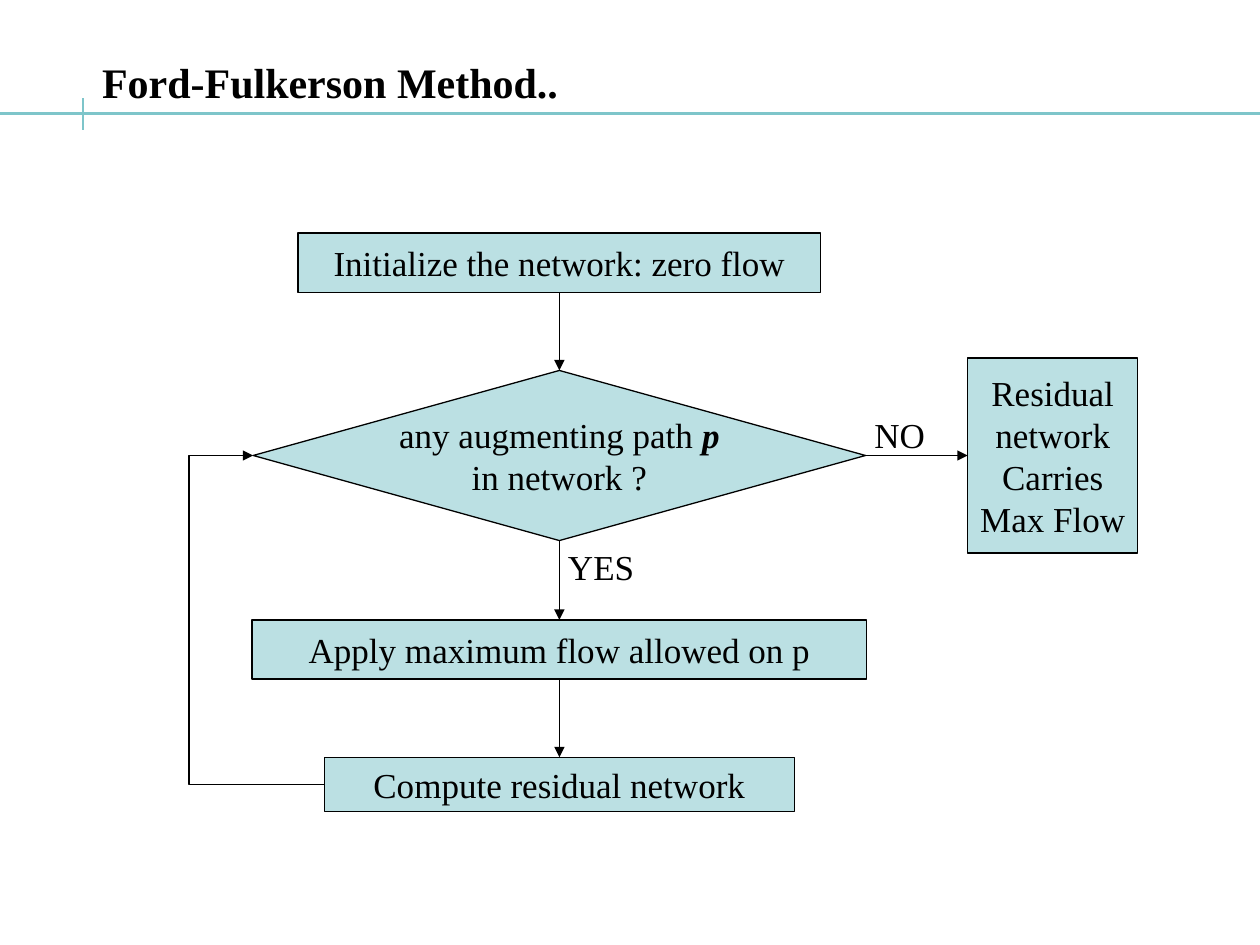
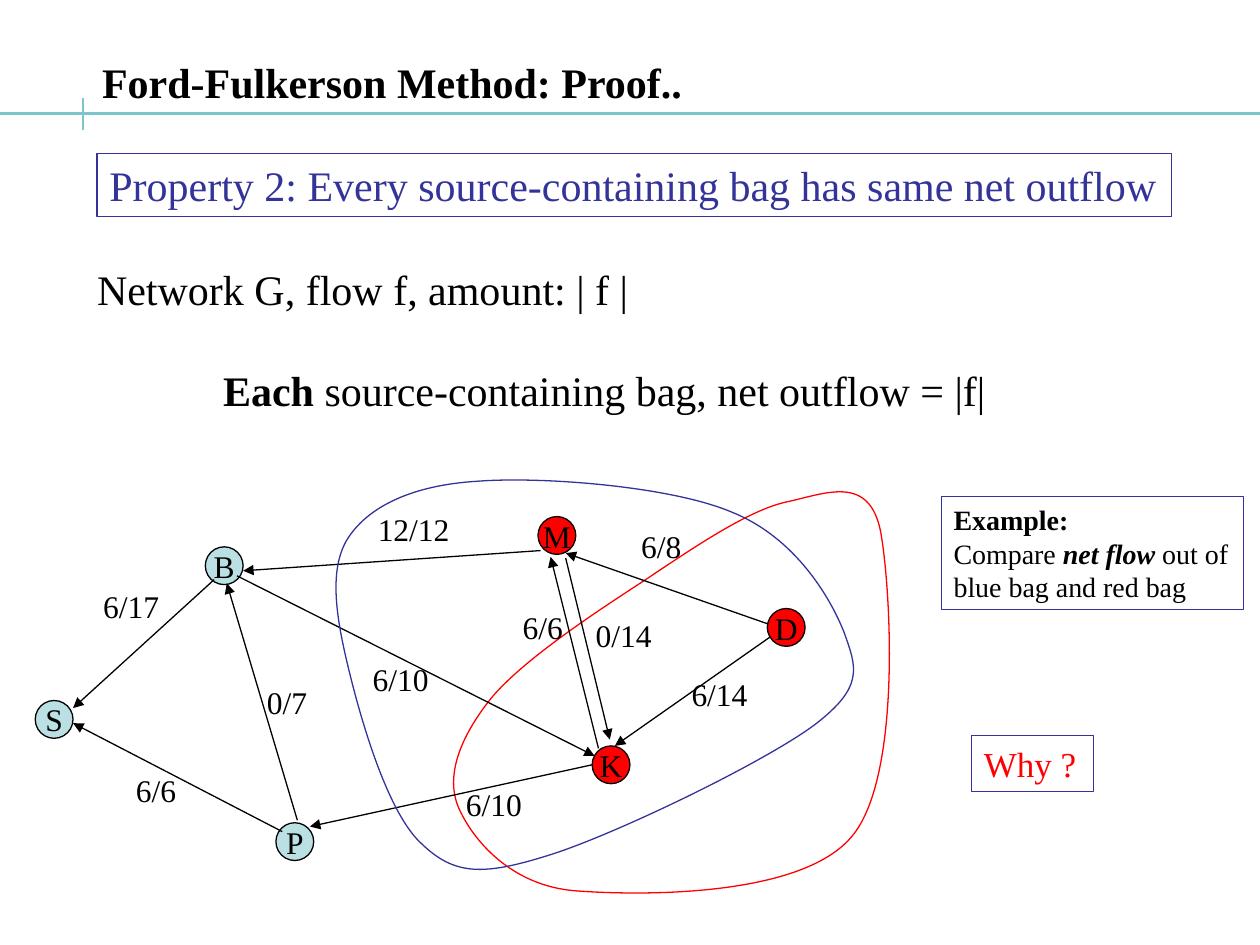
from typing import Any, NamedTuple, Optional

from pptx import Presentation
from pptx.dml.color import RGBColor
from pptx.enum.shapes import MSO_CONNECTOR, MSO_SHAPE
from pptx.enum.text import MSO_ANCHOR, MSO_AUTO_SIZE, PP_ALIGN
from pptx.oxml import parse_xml
from pptx.oxml.ns import nsdecls, qn
from pptx.oxml.xmlchemy import OxmlElement
from pptx.util import Inches, Pt

# Grid: 10 columns by 7.5 rows
WIDTH, HEIGHT = Inches(10), Inches(7.5)
COLUMN, ROW = WIDTH / 10, HEIGHT / 7.5

# Shared look
FONT = "Times New Roman"
BLACK, RED, NAVY = "000000", "FF0000", "333399"
PALE, TEAL = "BBE0E3", "7EC5CA"
THIN, RULE = 0.75, 1.5
TOP, LEFT, BOTTOM, RIGHT = range(4)
TITLE = {"size": 24, "bold": True}
CENTRED = {"align": PP_ALIGN.CENTER, "anchor": MSO_ANCHOR.MIDDLE, "grow": False}
TITLE_ONLY, TITLE_AND_BODY = 5, 1


class Span(NamedTuple):
    text: str
    bold: bool = False
    italic: bool = False


class Area(NamedTuple):
    left: float
    top: float
    width: float
    height: float

    def lengths(self) -> tuple[int, ...]:
        return (*point(self.left, self.top), *point(self.width, self.height))


class Step(NamedTuple):
    name: str
    preset: Any
    area: Area
    lines: list


class Link(NamedTuple):
    source: str
    source_side: int
    target: str
    target_side: int


class Node(NamedTuple):
    name: str
    left: float
    top: float
    fill: str


class Edge(NamedTuple):
    start: tuple[float, float]
    end: tuple[float, float]
    label: str
    label_at: tuple[float, float]


class Note(NamedTuple):
    area: Area
    lines: list
    size: int
    colour: str


def point(column: float, row: float) -> tuple[int, int]:
    return round(column * COLUMN), round(row * ROW)


def colour(value: str) -> RGBColor:
    return RGBColor.from_string(value)


def set_all(target: Any, values: dict) -> None:
    for name, value in values.items():
        setattr(target, name, value)


# Text
def write(box: Any, lines: list, size: int, ink: str = BLACK, bold: bool = False,
          align: Any = PP_ALIGN.LEFT, anchor: Any = MSO_ANCHOR.TOP,
          grow: bool = True, wrap: bool = False) -> None:
    """Fill a box; each line is a plain string or a list of spans."""
    frame = box.text_frame
    set_all(frame, {
        "margin_left": Inches(0.1), "margin_right": Inches(0.1),
        "margin_top": Inches(0.05), "margin_bottom": Inches(0.05),
        "word_wrap": wrap, "vertical_anchor": anchor,
        "auto_size": MSO_AUTO_SIZE.SHAPE_TO_FIT_TEXT if grow else MSO_AUTO_SIZE.NONE,
    })
    for index, line in enumerate(lines):
        para = frame.add_paragraph() if index else frame.paragraphs[0]
        set_all(para, {"alignment": align, "space_before": Pt(0)})
        for span in [Span(line, bold)] if isinstance(line, str) else line:
            run = para.add_run()
            run.text = span.text
            set_all(run.font, {"name": FONT, "size": Pt(size),
                               "bold": span.bold, "italic": span.italic})
            run.font.color.rgb = colour(ink)


def move(box: Any, area: Area) -> None:
    set_all(box, dict(zip(("left", "top", "width", "height"), area.lengths())))


def add_label(page: Any, area: Area, text: str, size: int) -> None:
    write(page.shapes.add_textbox(*area.lengths()), [text], size)


# Shapes and lines
def paint(shape: Any, fill: Optional[str], line: str) -> None:
    shape.shadow.inherit = False
    if fill:
        shape.fill.solid()
        shape.fill.fore_color.rgb = colour(fill)
    else:
        shape.fill.background()
    shape.line.color.rgb = colour(line)
    shape.line.width = Pt(THIN)


def add_shape(page: Any, preset: Any, area: Area, fill: Optional[str],
              line: str = BLACK) -> Any:
    shape = page.shapes.add_shape(preset, *area.lengths())
    paint(shape, fill, line)
    return shape


def add_line(page: Any, start: tuple[float, float], end: tuple[float, float],
             ink: str = BLACK, weight: float = THIN, arrow: bool = True,
             kind: Any = MSO_CONNECTOR.STRAIGHT) -> Any:
    line = page.shapes.add_connector(kind, *point(*start), *point(*end))
    line.line.color.rgb = colour(ink)
    line.line.width = Pt(weight)
    properties = line.element.spPr
    if arrow:
        head = parse_xml(f'<a:tailEnd {nsdecls("a")} type="triangle"/>')
        properties.find(qn("a:ln")).append(head)
    properties.append(OxmlElement("a:effectLst"))
    return line


def add_bag(page: Any, points: list[tuple[float, float]], ink: str) -> None:
    """Draw a closed curve: a start, then two controls and an end per arc."""
    start, *rest = [point(*place) for place in points]
    builder = page.shapes.build_freeform(*start)
    builder.add_line_segments([*rest, start], close=True)
    bag = builder.convert_to_shape()
    outline = next(bag.element.iter(qn("a:path")))
    segments = outline.findall(qn("a:lnTo"))
    for first in range(0, len(segments), 3):
        arc = OxmlElement("a:cubicBezTo")
        segments[first].addprevious(arc)
        for segment in segments[first:first + 3]:
            arc.append(segment[0])
            outline.remove(segment)
    paint(bag, None, ink)


def add_page(deck: Any, layout: int, title: str, title_width: float) -> Any:
    page = deck.slides.add_slide(deck.slide_layouts[layout])
    for start, end in (((0, 0.9), (10, 0.9)), ((0.66, 0.78), (0.66, 1.03))):
        add_line(page, start, end, TEAL, RULE, arrow=False)
    move(page.shapes.title, Area(0.71, 0.4, title_width, 0.5))
    write(page.shapes.title, [title], **TITLE)
    return page


# Slide 1: flow chart around one vertical axis
AXIS = 4.44
LOOP_COLUMN = 1.5


def on_axis(top: float, width: float, height: float) -> Area:
    return Area(AXIS - width / 2, top, width, height)


STEPS = [
    Step("initialize", MSO_SHAPE.RECTANGLE, on_axis(1.85, 4.15, 0.47),
         ["Initialize the network: zero flow"]),
    Step("decide", MSO_SHAPE.FLOWCHART_DECISION, on_axis(2.94, 4.86, 1.35),
         [[Span("any augmenting path "), Span("p", True, True)], "in network ?"]),
    Step("apply", MSO_SHAPE.RECTANGLE, on_axis(4.92, 4.88, 0.47),
         ["Apply maximum flow allowed on p"]),
    Step("compute", MSO_SHAPE.RECTANGLE, on_axis(6.01, 3.73, 0.43),
         ["Compute residual network"]),
    Step("finish", MSO_SHAPE.RECTANGLE, Area(7.68, 2.84, 1.35, 1.55),
         ["Residual", "network", "Carries", "Max Flow"]),
]
LINKS = [
    Link("decide", RIGHT, "finish", LEFT),
    Link("initialize", BOTTOM, "decide", TOP),
    Link("decide", BOTTOM, "apply", TOP),
    Link("apply", BOTTOM, "compute", TOP),
]


def build_flow_chart(deck: Any) -> None:
    page = add_page(deck, TITLE_ONLY, "Ford-Fulkerson Method..", 3.95)
    boxes, areas = {}, {}
    for step in STEPS:
        box = add_shape(page, step.preset, step.area, PALE)
        write(box, step.lines, 20, **CENTRED)
        boxes[step.name], areas[step.name] = box, step.area
    add_label(page, Area(4.41, 4.28, 0.8, 0.44), "YES", 20)
    add_label(page, Area(6.84, 3.23, 0.68, 0.44), "NO", 20)

    # Loop back to the decision
    start, end = [(areas[name].left, areas[name].top + areas[name].height / 2)
                  for name in ("compute", "decide")]
    loop = add_line(page, start, end, kind=MSO_CONNECTOR.ELBOW)
    bend = round(100000 * (start[0] - LOOP_COLUMN) / (start[0] - end[0]))
    guide = parse_xml(f'<a:gd {nsdecls("a")} name="adj1" fmla="val {bend}"/>')
    next(loop.element.iter(qn("a:avLst"))).append(guide)

    for link in LINKS:
        arrow = add_line(page, (0, 0), (0, 0))
        arrow.begin_connect(boxes[link.source], link.source_side)
        arrow.end_connect(boxes[link.target], link.target_side)


# Slide 2: flow network with two bags
NODE_SIZE = 0.3
NODES = [
    Node("D", 6.09, 4.83, RED), Node("M", 4.27, 4.1, RED), Node("K", 4.7, 5.92, RED),
    Node("S", 0.28, 5.56, PALE), Node("B", 1.63, 4.34, PALE), Node("P", 2.19, 6.53, PALE),
]
EDGES = [
    Edge((6.09, 4.95), (4.49, 4.39), "6/8", (4.99, 4.13)),
    Edge((6.12, 5.05), (4.88, 5.92), "6/14", (5.39, 5.31)),
    Edge((4.75, 5.94), (4.37, 4.42), "6/6", (4.05, 4.78)),
    Edge((4.49, 4.43), (4.84, 5.87), "0/14", (4.63, 4.84)),
    Edge((4.29, 4.37), (1.93, 4.53), "12/12", (2.9, 4)),
    Edge((1.88, 4.57), (4.72, 6), "6/10", (2.86, 5.19)),
    Edge((4.7, 6.07), (2.46, 6.56), "6/10", (3.6, 6.18)),
    Edge((2.24, 6.6), (0.58, 5.74), "6/6", (0.98, 6.07)),
    Edge((1.7, 4.6), (0.58, 5.62), "6/17", (0.72, 4.61)),
    Edge((2.36, 6.51), (1.8, 4.63), "0/7", (2.02, 5.37)),
]
RED_BAG = [
    (6.26, 3.98), (5.95, 4.04), (5.5, 4.35), (5.11, 4.61), (4.71, 4.87), (4.15, 5.24),
    (3.9, 5.54), (3.66, 5.84), (3.53, 6.15), (3.64, 6.41), (3.75, 6.66), (4.05, 7.03),
    (4.57, 7.07), (5.09, 7.11), (6.36, 7.12), (6.76, 6.64), (7.16, 6.17), (7.07, 4.66),
    (6.99, 4.22), (6.9, 3.77), (6.57, 3.91),
]
BLUE_BAG = [
    (6.7, 5.02), (6.59, 4.74), (6.31, 4.27), (5.82, 4.07), (5.34, 3.86), (4.3, 3.78),
    (3.79, 3.82), (3.29, 3.85), (2.94, 4.01), (2.77, 4.26), (2.6, 4.51), (2.67, 4.91),
    (2.77, 5.32), (2.87, 5.73), (3.08, 6.46), (3.35, 6.7), (3.61, 6.95), (3.84, 6.95),
    (4.35, 6.79), (4.87, 6.63), (6.07, 6.05), (6.47, 5.75), (6.86, 5.45), (6.8, 5.3),
]
NOTES = [
    Note(Area(0.77, 1.22, 8.53, 0.5),
         ["Property 2: Every source-containing bag has same net outflow"], 24, NAVY),
    Note(Area(7.47, 3.94, 2.4, 0.9),
         [[Span("Example:", True)],
          [Span("Compare "), Span("net flow", True, True), Span(" out of")],
          "blue bag and red bag"], 16, BLACK),
    Note(Area(7.71, 5.84, 0.97, 0.44), ["Why ?"], 20, RED),
]


def build_proof(deck: Any) -> None:
    page = add_page(deck, TITLE_AND_BODY, "Ford-Fulkerson Method: Proof..", 4.95)

    # Statement
    body = page.placeholders[1]
    move(body, Area(0.67, 2.04, 7.5, 1.3))
    paras = ["Network G, flow f, amount: | f |",
             [Span("Each ", True), Span("source-containing bag, net outflow = |f|")]]
    write(body, paras, 24, wrap=True, grow=False)
    for level, para in enumerate(body.text_frame.paragraphs):
        para.space_before = Pt(29 * level)
        properties = para._p.get_or_add_pPr()
        properties.set("marL", str(Inches(level)))
        properties.set("indent", "0")
        properties.append(OxmlElement("a:buNone"))

    # Network
    add_bag(page, RED_BAG, RED)
    for node in NODES:
        area = Area(node.left, node.top, NODE_SIZE, NODE_SIZE)
        write(add_shape(page, MSO_SHAPE.OVAL, area, node.fill), [node.name], 18, **CENTRED)
    for edge in EDGES:
        add_line(page, edge.start, edge.end)
    for edge in EDGES:
        label_width = 0.15 + 0.13 * len(edge.label)
        add_label(page, Area(*edge.label_at, label_width, 0.4), edge.label, 18)
    add_bag(page, BLUE_BAG, NAVY)

    # Framed notes
    for note in NOTES:
        frame = add_shape(page, MSO_SHAPE.RECTANGLE, note.area, None, NAVY)
        write(frame, note.lines, note.size, note.colour)


def main() -> None:
    deck = Presentation()
    deck.slide_width, deck.slide_height = WIDTH, HEIGHT
    build_flow_chart(deck)
    build_proof(deck)
    deck.save("out.pptx")


if __name__ == "__main__":
    main()
